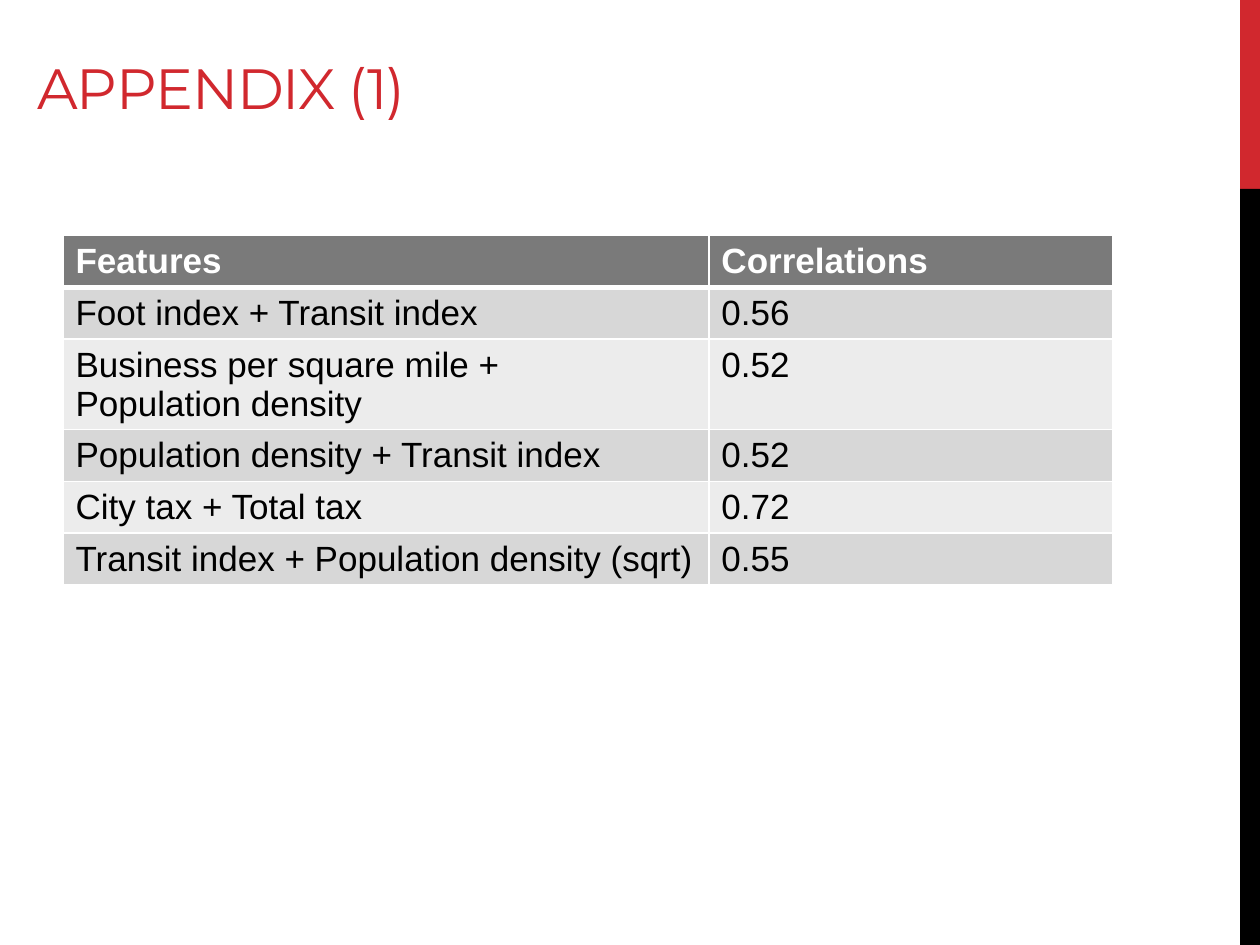
from dataclasses import dataclass

from lxml import etree
from pptx import Presentation
from pptx.dml.color import RGBColor
from pptx.enum.shapes import MSO_SHAPE
from pptx.enum.text import MSO_ANCHOR, PP_ALIGN
from pptx.oxml.ns import qn
from pptx.util import Cm, Pt

RECTANGLE = MSO_SHAPE.RECTANGLE
BOTTOM = MSO_ANCHOR.BOTTOM
LEFT = PP_ALIGN.LEFT
TITLE_ONLY = 5


@dataclass(frozen=True)
class Theme:
    accent: str = "D1282E"
    black: str = "000000"
    white: str = "FFFFFF"
    header: str = "7A7A7A"
    bands: tuple = ("D7D7D7", "ECECEC")
    title_font: str = "Montserrat"
    body_font: str = "Arial"
    title_size: float = 32.4
    body_size: float = 20
    title_spacing: float = -0.6
    rule: float = 1
    header_rule: float = 3


class SlideBuilder:
    def __init__(self, slide, theme):
        self.slide = slide
        self.theme = theme

    def format_text(self, frame, font, size, color, bold=False):
        for paragraph in frame.paragraphs:
            paragraph.alignment = LEFT
            for run in paragraph.runs:
                run.font.name = font
                run.font.size = Pt(size)
                run.font.bold = bold
                run.font.color.rgb = RGBColor.from_string(color)

    def bar(self, left, top, width, height, color):
        bar = self.slide.shapes.add_shape(
            RECTANGLE, Cm(left), Cm(top), Cm(width), Cm(height))
        bar.shadow.inherit = False
        bar.fill.solid()
        bar.fill.fore_color.rgb = RGBColor.from_string(color)
        bar.line.fill.background()

    def title(self, text, left, top, width, height):
        theme = self.theme
        title = self.slide.shapes.title
        title.left, title.top = Cm(left), Cm(top)
        title.width, title.height = Cm(width), Cm(height)
        frame = title.text_frame
        frame.text = text
        frame.word_wrap = True
        frame.vertical_anchor = BOTTOM
        frame.margin_top = frame.margin_bottom = Cm(0.14)
        self.format_text(frame, theme.title_font, theme.title_size, theme.accent)
        for run in frame.paragraphs[0].runs:
            run.font._element.set("spc", str(round(theme.title_spacing * 100)))

    def borders(self, cell, bottom, top):
        theme = self.theme
        properties = cell._tc.get_or_add_tcPr()
        sides = (("L", theme.rule), ("R", theme.rule), ("T", top), ("B", bottom))
        for position, (side, width) in enumerate(sides):
            line = etree.Element(qn(f"a:ln{side}"), w=str(Pt(width)))
            fill = etree.SubElement(line, qn("a:solidFill"))
            etree.SubElement(fill, qn("a:srgbClr"), val=theme.white)
            properties.insert(position, line)

    def table(self, rows, left, top, column_widths, row_height):
        theme = self.theme
        table = self.slide.shapes.add_table(
            len(rows), len(column_widths), Cm(left), Cm(top),
            Cm(sum(column_widths)), Cm(row_height * len(rows))).table
        for column, width in zip(table.columns, column_widths):
            column.width = Cm(width)
        for row_index, row in enumerate(rows):
            is_header = row_index == 0
            fill = theme.header if is_header else theme.bands[(row_index - 1) % 2]
            color = theme.white if is_header else theme.black
            bottom = theme.header_rule if is_header else theme.rule
            above = theme.header_rule if row_index == 1 else theme.rule
            for column_index, text in enumerate(row):
                cell = table.cell(row_index, column_index)
                cell.text_frame.text = text
                cell.fill.solid()
                cell.fill.fore_color.rgb = RGBColor.from_string(fill)
                self.format_text(cell.text_frame, theme.body_font,
                                 theme.body_size, color, is_header)
                self.borders(cell, bottom, above)


def main():
    presentation = Presentation()
    presentation.slide_width, presentation.slide_height = Cm(25.4), Cm(19.05)
    theme = Theme()
    slide = presentation.slides.add_slide(presentation.slide_layouts[TITLE_ONLY])
    builder = SlideBuilder(slide, theme)

    # Stripe along the right edge
    builder.bar(25, 0, 0.4, 3.81, theme.accent)
    builder.bar(25, 3.81, 0.4, 15.24, theme.black)

    # Heading
    builder.title("APPENDIX (1)", 0.5, 1.37, 16.08, 1.2)

    # Feature correlations
    correlations = [
        ("Features", "Correlations"),
        ("Foot index + Transit index", "0.56"),
        ("Business per square mile +\nPopulation density", "0.52"),
        ("Population density + Transit index", "0.52"),
        ("City tax + Total tax", "0.72"),
        ("Transit index + Population density (sqrt)", "0.55"),
    ]
    builder.table(correlations, 1.27, 4.75, (13.02, 8.14), 1.04)

    presentation.save("out.pptx")


if __name__ == "__main__":
    main()
